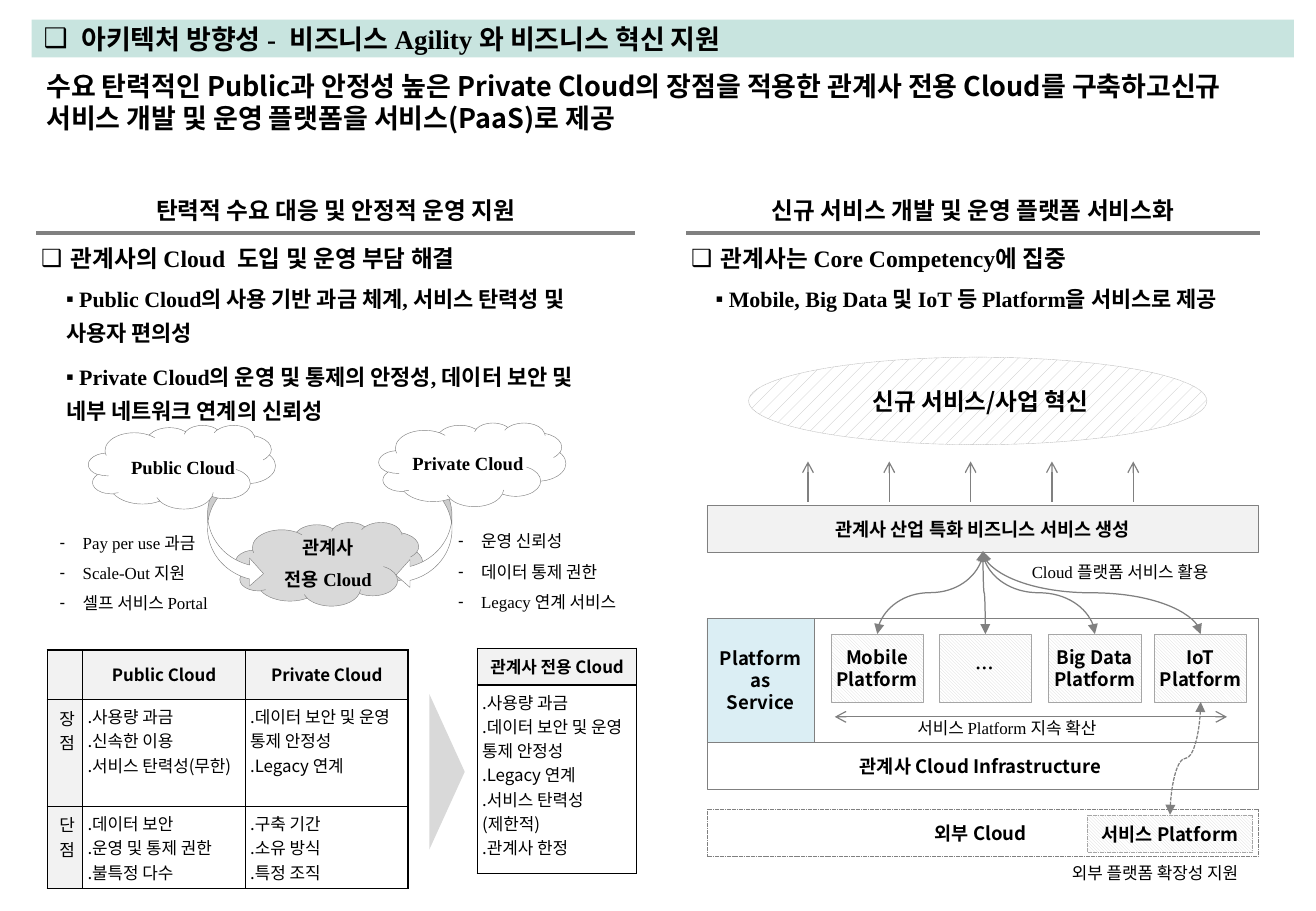
from lxml.etree import SubElement
from pptx import Presentation
from pptx.dml.color import RGBColor
from pptx.enum.dml import MSO_LINE, MSO_PATTERN
from pptx.enum.shapes import MSO_CONNECTOR, MSO_SHAPE
from pptx.enum.text import MSO_ANCHOR, MSO_AUTO_SIZE, PP_ALIGN
from pptx.oxml.ns import qn
from pptx.util import Cm, Pt

SERIF, SANS = "Times New Roman", "Noto Sans CJK KR"
GREY = "808080"
DEFAULT_INSETS = (0.25, 0.13, 0.25, 0.13)
LABEL_INSETS = (0.41, 0.13, 0.25, 0.13)
TILE_INSETS = (0.1, 0.1, 0.1, 0.1)
COLUMNS = [  # left, heading width, list left, list width, heading, subheading, list
    (0.76, 12.52, 0.97, 11.28, "탄력적 수요 대응 및 안정적 운영 지원",
     " 관계사의 Cloud  도입 및 운영 부담 해결",
     [" Public Cloud의 사용 기반 과금 체계, 서비스 탄력성 및 사용자 편의성",
      " Private Cloud의 운영 및 통제의 안정성, 데이터 보안 및 네부 네트워크 연계의 신뢰성"]),
    (14.35, 11.99, 14.55, 11.66, "신규 서비스 개발 및 운영 플랫폼 서비스화",
     " 관계사는 Core Competency에 집중",
     [" Mobile, Big Data 및 IoT 등 Platform을 서비스로 제공"]),
]
PLATFORMS = [(17.37, ["Mobile", "Platform"]), (19.63, ["…"]),
             (21.92, ["Big Data Platform"]), (24.13, ["IoT", "Platform"])]
COMPARISON = [
    [[], ["Public Cloud"], ["Private Cloud"]],
    [["장점"], [".사용량 과금", ".신속한 이용", ".서비스 탄력성(무한)"],
     [".데이터 보안 및 운영 통제 안정성", ".Legacy 연계"]],
    [["단점"], [".데이터 보안", ".운영 및 통제 권한", ".불특정 다수"],
     [".구축 기간", ".소유 방식", ".특정 조직"]],
]
DEDICATED = [
    [["관계사 전용 Cloud"]],
    [[".사용량 과금", ".데이터 보안 및 운영 통제 안정성", ".Legacy 연계",
      ".서비스 탄력성(제한적)", ".관계사 한정"]],
]


def color(value):
    return RGBColor.from_string(value)


def set_bullet(paragraph, bullet, indent):
    properties = paragraph._p.get_or_add_pPr()
    properties.set("marL", str(Cm(indent)))
    properties.set("indent", str(-Cm(indent)))
    if bullet:
        SubElement(properties, qn("a:buFont"), typeface="Arial")
        SubElement(properties, qn("a:buChar"), char=bullet)
    else:
        SubElement(properties, qn("a:buNone"))


def write(frame, lines, size, font=SERIF, bold=False, align=PP_ALIGN.LEFT,
          bullet=None, indent=0, before=0, after=0, spacing=1.0):
    for index, line in enumerate(lines):
        paragraph = frame.add_paragraph() if index else frame.paragraphs[0]
        paragraph.text = line
        paragraph.alignment = align
        paragraph.line_spacing = spacing
        paragraph.space_before, paragraph.space_after = Pt(before), Pt(after)
        set_bullet(paragraph, bullet, indent)
        paragraph.font.size, paragraph.font.bold = Pt(size), bold
        paragraph.font.name = font
        paragraph.font.color.rgb = color("000000")


def set_frame(frame, insets=DEFAULT_INSETS, anchor=MSO_ANCHOR.TOP):
    frame.word_wrap = True
    frame.auto_size = MSO_AUTO_SIZE.NONE
    frame.vertical_anchor = anchor
    (frame.margin_left, frame.margin_top,
     frame.margin_right, frame.margin_bottom) = map(Cm, insets)


def fill_placeholder(placeholder, box, lines, size, insets=DEFAULT_INSETS,
                     anchor=MSO_ANCHOR.TOP, **style):
    (placeholder.left, placeholder.top,
     placeholder.width, placeholder.height) = map(Cm, box)
    set_frame(placeholder.text_frame, insets, anchor)
    write(placeholder.text_frame, lines, size, **style)


def add_label(slide, box, lines, size, insets=LABEL_INSETS, **style):
    label = slide.shapes.add_textbox(*map(Cm, box))
    set_frame(label.text_frame, insets)
    write(label.text_frame, lines, size, **style)


def add_block(slide, kind, box, fill=None, line=GREY, lines=(), size=11,
              pattern=None, dash=None, insets=DEFAULT_INSETS):
    block = slide.shapes.add_shape(kind, *map(Cm, box))
    block.shadow.inherit = False
    if pattern:
        block.fill.patterned()
        block.fill.pattern = pattern
        block.fill.fore_color.rgb = color(fill)
        block.fill.back_color.rgb = color("FFFFFF")
    elif fill:
        block.fill.solid()
        block.fill.fore_color.rgb = color(fill)
    else:
        block.fill.background()
    if line:
        block.line.color.rgb = color(line)
        block.line.width = Pt(0.25)
        block.line.dash_style = dash
    else:
        block.line.fill.background()
    set_frame(block.text_frame, insets, MSO_ANCHOR.MIDDLE)
    write(block.text_frame, lines, size, SANS, True, PP_ALIGN.CENTER)
    return block


def add_tile(slide, box, lines, dash=None):
    add_block(slide, MSO_SHAPE.RECTANGLE, box, "D9D9D9", "A6A6A6", lines, dash=dash,
              pattern=MSO_PATTERN.LIGHT_DOWNWARD_DIAGONAL, insets=TILE_INSETS)


def add_line(slide, start, end, width=0.75, head=None, tail=None,
             kind=MSO_CONNECTOR.STRAIGHT, dash=None):
    line = slide.shapes.add_connector(kind, *map(Cm, start + end))
    line.line.color.rgb = color(GREY)
    line.line.width = Pt(width)
    line.line.dash_style = dash
    outline = line.line._get_or_add_ln()
    for tag, arrow in (("a:headEnd", head), ("a:tailEnd", tail)):
        if arrow:
            SubElement(outline, qn(tag), type=arrow)
    SubElement(line._element.spPr, qn("a:effectLst"))
    return line


def add_vertical_curve(slide, start, end, dash=None):
    """Lay the curve on its side about its centre, then turn it upright."""
    center_x, center_y = (start[0] + end[0]) / 2, (start[1] + end[1]) / 2
    turned = [(center_x + y - center_y, center_y - x + center_x) for x, y in (start, end)]
    curve = add_line(slide, *turned, head="triangle", tail="triangle",
                     kind=MSO_CONNECTOR.CURVE, dash=dash)
    curve._element.spPr.find(qn("a:xfrm")).set("rot", "5400000")


def set_borders(cell):
    properties = cell._tc.get_or_add_tcPr()
    for index, side in enumerate(("a:lnL", "a:lnR", "a:lnT", "a:lnB")):
        border = properties.makeelement(qn(side), {"w": str(Pt(1))})
        SubElement(SubElement(border, qn("a:solidFill")), qn("a:srgbClr"), val="000000")
        properties.insert(index, border)


def add_grid(slide, left, top, widths, heights, rows, label_column=False):
    table = slide.shapes.add_table(len(rows), len(widths), Cm(left), Cm(top),
                                   Cm(sum(widths)), Cm(sum(heights))).table
    table.first_row = table.horz_banding = False
    for column, width in zip(table.columns, widths):
        column.width = Cm(width)
    for r, (row, height) in enumerate(zip(rows, heights)):
        table.rows[r].height = Cm(height)
        for c, lines in enumerate(row):
            cell = table.cell(r, c)
            is_label = label_column and c == 0
            cell.fill.solid()
            cell.fill.fore_color.rgb = color("F2F2F2" if r == 0 or is_label else "FFFFFF")
            set_borders(cell)
            (cell.margin_left, cell.margin_top, cell.margin_right,
             cell.margin_bottom) = map(Cm, DEFAULT_INSETS if is_label else TILE_INSETS)
            cell.vertical_anchor = MSO_ANCHOR.TOP if r else MSO_ANCHOR.MIDDLE
            write(cell.text_frame, lines, 10, SANS, r == 0,
                  PP_ALIGN.LEFT if r else PP_ALIGN.CENTER)


def add_headings(slide):
    title, *bodies = slide.placeholders
    title.fill.solid()
    title.fill.fore_color.rgb = color("C8E4DF")
    fill_placeholder(title, (0.66, 0.41, 26.39, 0.79),
                     ["아키텍처 방향성 -  비즈니스 Agility 와 비즈니스 혁신 지원"], 16,
                     anchor=MSO_ANCHOR.MIDDLE, bold=True, bullet="❑", indent=0.79)
    add_label(slide, (0.97, 1.45, 25.8, 1.37),
              ["수요 탄력적인 Public과 안정성 높은 Private Cloud의 장점을 적용한 관계사 전용 "
               "Cloud를 구축하고신규 서비스 개발 및 운영 플랫폼을 서비스(PaaS)로 제공"],
              16, (0, 0, 0, 0), font=SANS, bold=True)
    for column, heading_body, list_body in zip(COLUMNS, bodies[::2], bodies[1::2]):
        left, width, list_left, list_width, heading, subheading, points = column
        fill_placeholder(heading_body, (left, 3.96, width, 0.86), [heading], 14,
                         font="Cambria", bold=True, align=PP_ALIGN.CENTER)
        add_line(slide, (left, 4.88), (left + width, 4.88), 2.25)
        add_label(slide, (left, 4.88, 12.24, 1.04), [subheading], 14,
                  (0.1, 0.23, 0.1, 0.23), bold=True, bullet="❑", indent=0.51, before=6)
        fill_placeholder(list_body, (list_left, 5.69, list_width, 1.52), points, 13,
                         LABEL_INSETS, bold=True, bullet="▪", after=6, spacing=Pt(20))


def add_cloud_merger(slide):
    cloud_label = dict(size=11, bold=True, align=PP_ALIGN.CENTER, after=6)
    add_block(slide, MSO_SHAPE.CLOUD, (4.93, 10.92, 3.91, 1.75), "D9D9D9")
    add_label(slide, (4.7, 11.07, 4.17, 0.76), ["관계사", "전용 Cloud"], **cloud_label)
    private_arrow = add_block(slide, MSO_SHAPE.CURVED_RIGHT_ARROW,
                              (8.28, 9.68, 1.17, 2.64), "FFFFFF")
    private_arrow._element.spPr.find(qn("a:xfrm")).set("flipH", "1")
    add_block(slide, MSO_SHAPE.CURVED_RIGHT_ARROW, (4.34, 9.65, 1.17, 2.64), "FFFFFF")
    add_block(slide, MSO_SHAPE.CLOUD, (7.92, 8.84, 3.91, 1.75), "FFFFFF")
    add_label(slide, (7.98, 9.32, 3.45, 0.76), ["Private Cloud"], **cloud_label)
    add_block(slide, MSO_SHAPE.CLOUD, (1.85, 8.89, 3.91, 1.75), "FFFFFF")
    add_label(slide, (2.29, 9.4, 2.92, 0.76), ["Public Cloud"], **cloud_label)
    for box, benefits in (
            ((0.84, 11, 5.64, 1.02), ["Pay per use 과금", "Scale-Out 지원", "셀프 서비스 Portal"]),
            ((9.17, 10.97, 4.34, 1.02), ["운영 신뢰성", "데이터 통제 권한", "Legacy 연계 서비스"])):
        add_label(slide, box, benefits, 10, bullet="-", indent=0.48, after=6)


def add_platform_stack(slide):
    box = MSO_SHAPE.RECTANGLE
    dotted = MSO_LINE.SQUARE_DOT
    add_block(slide, MSO_SHAPE.OVAL, (15.65, 7.47, 9.58, 1.83), "BFBFBF", "BFBFBF",
              [" 신규 서비스/사업 혁신"], 14, MSO_PATTERN.PERCENT_10, dotted)
    for step in range(5):
        x = 16.89 + 1.7 * step
        add_line(slide, (x, 10.49), (x, 9.65), tail="arrow")
    add_block(slide, box, (14.78, 10.57, 11.53, 0.97), "F2F2F2",
              lines=["관계사 산업 특화 비즈니스 서비스 생성"])
    add_block(slide, box, (16.66, 12.93, 9.65, 2.59), "FFFFFF")
    add_block(slide, box, (14.78, 12.93, 2.24, 2.59), "DBEEF4", lines=["Platform as Service"])
    for left, name in PLATFORMS:
        add_tile(slide, (left, 13.26, 1.93, 1.42), name)
        add_vertical_curve(slide, (left + 0.97, 13.26), (20.55, 11.53))
    add_line(slide, (17.45, 14.99), (25.65, 14.99), head="arrow", tail="arrow")
    add_block(slide, box, (14.78, 15.52, 11.53, 0.99), lines=["관계사 Cloud Infrastructure "])
    add_block(slide, box, (14.78, 16.92, 11.53, 0.99), lines=["외부 Cloud "], dash=dotted)
    add_tile(slide, (22.73, 17.04, 3.45, 0.79), ["서비스 Platform"], dotted)
    add_vertical_curve(slide, (24.46, 17.04), (25.1, 14.68), dotted)
    for left, top, width, caption in ((21.16, 11.61, 5.31, "Cloud 플랫폼 서비스 활용"),
                                      (18.77, 14.88, 5.31, "서비스 Platform 지속 확산"),
                                      (22, 17.91, 4.6, "외부 플랫폼 확장성 지원")):
        add_label(slide, (left, top, width, 0.69), [caption], 10, after=6)


def main():
    presentation = Presentation()
    presentation.slide_width, presentation.slide_height = Cm(27.51), Cm(19.05)
    slide = presentation.slides.add_slide(presentation.slide_layouts.get_by_name("Comparison"))
    add_headings(slide)
    add_platform_stack(slide)
    add_cloud_merger(slide)
    add_grid(slide, 0.99, 13.59, (0.74, 3.4, 3.4), (0.79, 2.21, 1.65), COMPARISON, True)
    add_grid(slide, 9.98, 13.56, (3.33,), (0.76, 3.94), DEDICATED)
    transition = add_block(slide, MSO_SHAPE.ISOSCELES_TRIANGLE,
                           (7.72, 15.77, 3.25, 0.74), "D9D9D9", None)
    transition.rotation = 90
    presentation.save("out.pptx")


if __name__ == "__main__":
    main()
